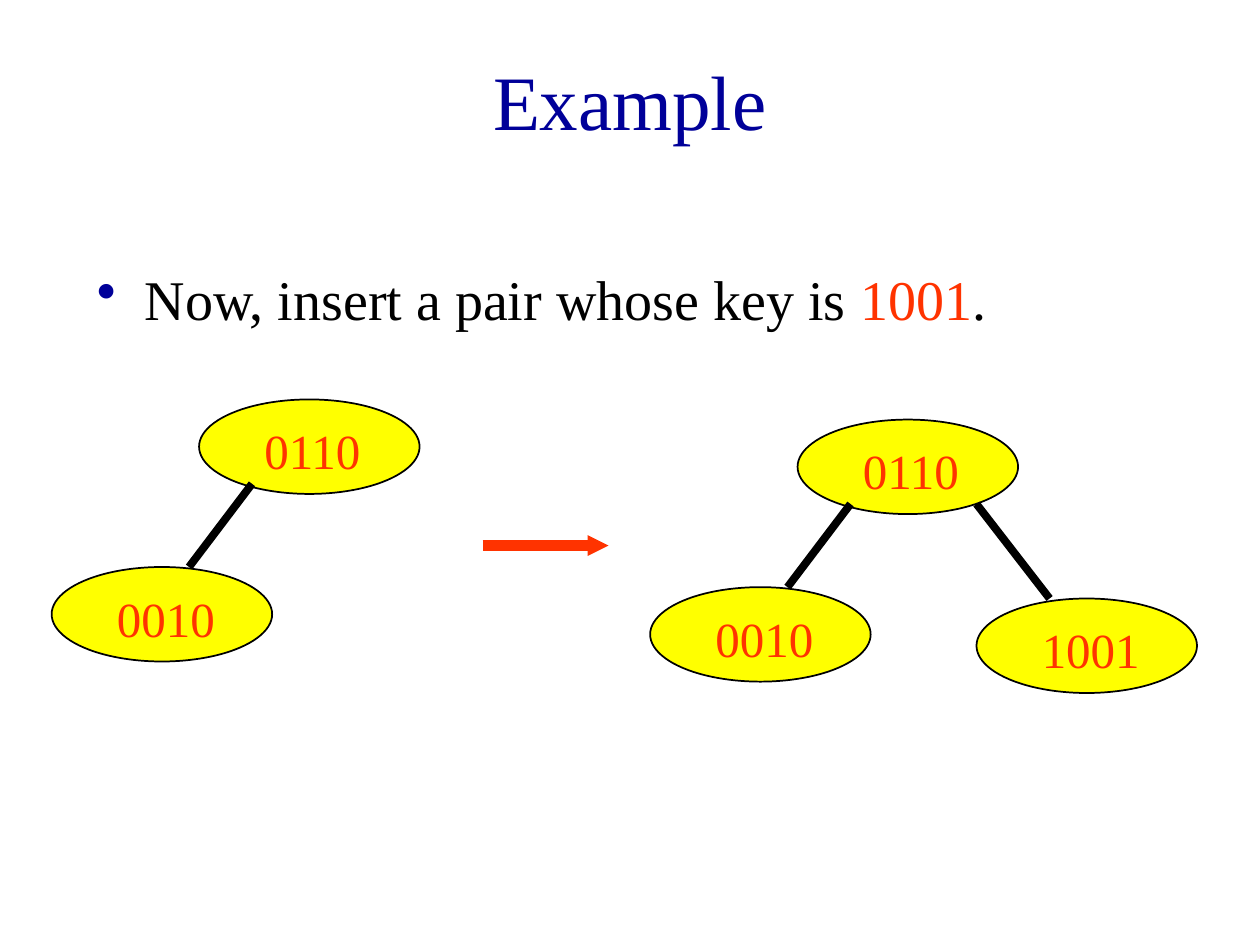
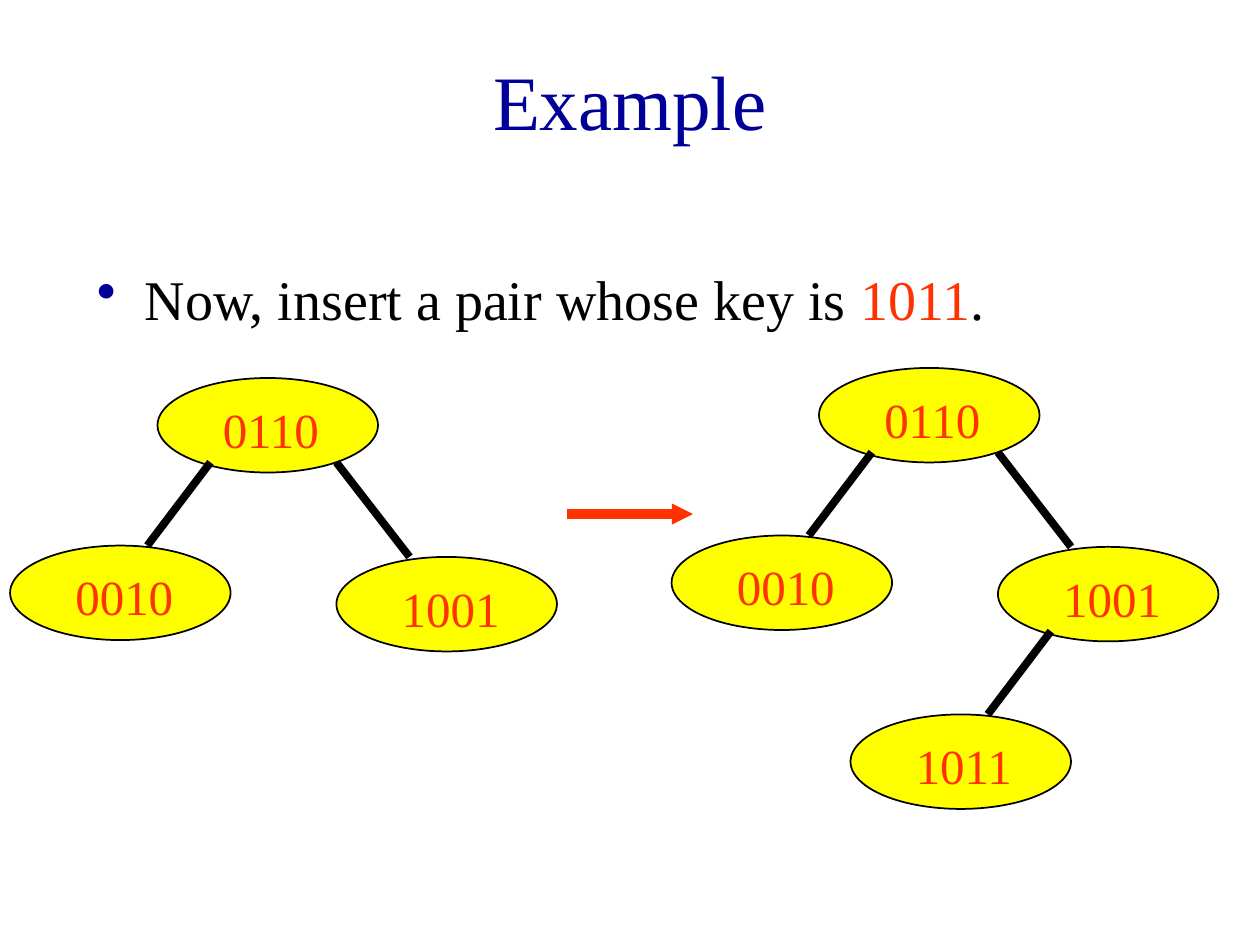
from lxml import etree
from pptx import Presentation
from pptx import util as u
from pptx.dml.color import RGBColor
from pptx.enum import shapes, text
from pptx.oxml.ns import qn

NAVY = RGBColor(0x00, 0x00, 0x99)
RED = RGBColor(0xFF, 0x33, 0x00)
YELLOW = RGBColor(0xFF, 0xFF, 0x00)
BLACK = RGBColor(0x00, 0x00, 0x00)
FONT = "Times New Roman"

# A tree is (key, left subtree, right subtree).
LEFT_ONLY = ("0110", ("0010", None, None), None)
BOTH_SIDES = ("0110", ("0010", None, None), ("1001", None, None))
DEEPER = ("0110", ("0010", None, None), ("1001", ("1011", None, None), None))

# Each tree comes with the top left corner of its root.
SLIDES = [
    {"key": "1001", "arrow": (3.83, 4.33),
     "trees": [(LEFT_ONLY, 1.58, 3.17), (BOTH_SIDES, 6.33, 3.33)]},
    {"key": "1011", "arrow": (4.5, 4.08),
     "trees": [(BOTH_SIDES, 1.25, 3), (DEEPER, 6.5, 2.92)]},
]

TITLE_AREA = (0.75, 0.17, 8.5, 1.25)
TASK_AREA = (0.67, 2, 8.5, 0.75)
NODE_SIZE = (1.75, 0.75)
LABEL_OFFSET, LABEL_SIZE = (0.42, 0.08), (1.17, 0.57)
ARROW_LENGTH = 1

# For the left and right branch, measured from the parent's corner:
# child corner, edge start, edge end
BRANCHES = [
    ((-1.17, 1.33), (0.42, 0.67), (-0.08, 1.33)),
    ((1.42, 1.42), (1.42, 0.67), (2, 1.42)),
]


def inches(*lengths):
    return [u.Inches(length) for length in lengths]


def add_span(para, wording, size, color):
    span = para.add_run()
    span.text = wording
    for name, value in {"name": FONT, "size": u.Pt(size)}.items():
        setattr(span.font, name, value)
    span.font.color.rgb = color


def add_text_box(parent, area, top_margin):
    """Add a wrapping text box and return its first paragraph."""
    frame = parent.add_textbox(*inches(*area)).text_frame
    frame.word_wrap = True
    frame.margin_top = u.Inches(top_margin)
    return frame.paragraphs[0]


def add_line(parent, start, end, color, width):
    line = parent.add_connector(shapes.MSO_CONNECTOR.STRAIGHT, *inches(*start, *end))
    line.line.color.rgb = color
    line.line.width = u.Pt(width)
    etree.SubElement(line._element.spPr, qn("a:effectLst"))
    return line


def add_node(parent, key, x, y):
    oval = parent.add_shape(shapes.MSO_SHAPE.OVAL, *inches(x, y, *NODE_SIZE))
    oval.shadow.inherit = False
    oval.fill.solid()
    oval.fill.fore_color.rgb = YELLOW
    oval.line.color.rgb = BLACK
    oval.line.width = u.Pt(1)
    dx, dy = LABEL_OFFSET
    para = add_text_box(parent, (x + dx, y + dy, *LABEL_SIZE), 0.09)
    add_span(para, key, 28, RED)


def add_tree(parent, tree, x, y):
    key, *children = tree
    add_node(parent, key, x, y)
    for child, offsets in zip(children, BRANCHES):
        if child:
            corner, start, end = [(x + dx, y + dy) for dx, dy in offsets]
            add_tree(parent, child, *corner)
            add_line(parent, start, end, BLACK, 4.5)


def add_title(page):
    title = page.shapes.title
    title.left, title.top, title.width, title.height = inches(*TITLE_AREA)
    title.text_frame.vertical_anchor = text.MSO_ANCHOR.MIDDLE
    para = title.text_frame.paragraphs[0]
    para.alignment = text.PP_ALIGN.CENTER
    add_span(para, "Example", 44, NAVY)


def add_task(page, key):
    para = add_text_box(page.shapes, TASK_AREA, 0.1)
    props = para._p.get_or_add_pPr()
    props.set("marL", str(u.Inches(0.38)))
    props.set("indent", str(u.Inches(-0.38)))
    bullet_color = etree.SubElement(props, qn("a:buClr"))
    etree.SubElement(bullet_color, qn("a:srgbClr"), val=str(NAVY))
    etree.SubElement(props, qn("a:buChar"), char="•")
    for wording, color in [("Now, insert a pair whose key is ", BLACK), (key, RED), (".", BLACK)]:
        add_span(para, wording, 32, color)


def add_arrow(page, x, y):
    arrow = add_line(page.shapes, (x, y), (x + ARROW_LENGTH, y), RED, 6)
    etree.SubElement(arrow.line._get_or_add_ln(), qn("a:tailEnd"),
                     type="triangle", w="sm", len="sm")


def main():
    deck = Presentation()
    deck.slide_width, deck.slide_height = inches(10, 7.5)
    for content in SLIDES:
        page = deck.slides.add_slide(deck.slide_layouts[5])
        add_title(page)
        add_task(page, content["key"])
        add_arrow(page, *content["arrow"])
        for tree, x, y in content["trees"]:
            add_tree(page.shapes.add_group_shape().shapes, tree, x, y)
    deck.save("out.pptx")


if __name__ == "__main__":
    main()
